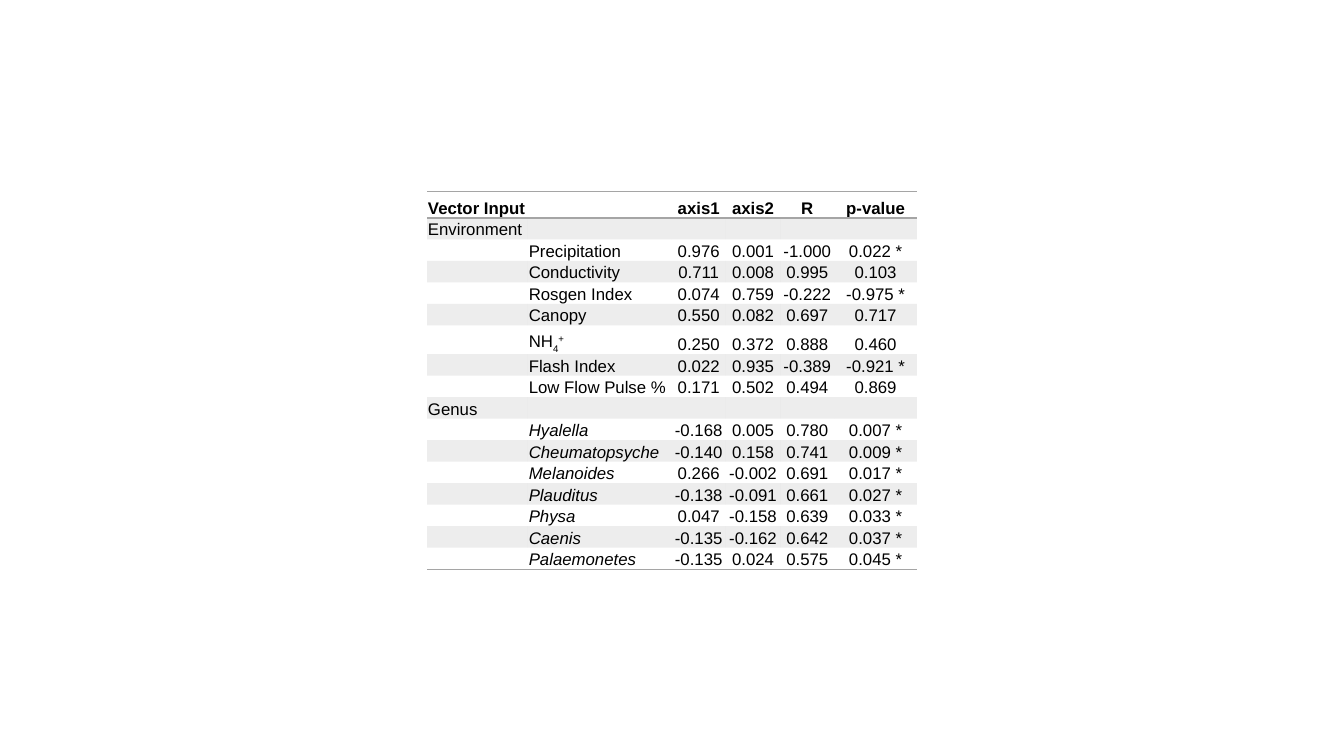
"""Build a slide with a table of vector inputs, axis scores and p-values."""
from lxml import etree
from pptx import Presentation
from pptx import util as u
from pptx.dml.color import RGBColor
from pptx.enum import text
from pptx.oxml.ns import qn

COLORS = {"ink": "000000", "gray": "A5A5A5"}
WIDTHS = [72, 102.7, 38.8, 38.8, 38.8, 58.8]
ROWS = [
    ["Vector Input", "", "axis1", "axis2", "R", "p-value"],
    ["Environment", "", "", "", "", ""],
    ["", "Precipitation", "0.976", "0.001", "-1.000", "0.022 *"],
    ["", "Conductivity", "0.711", "0.008", "0.995", "0.103"],
    ["", "Rosgen Index", "0.074", "0.759", "-0.222", "-0.975 *"],
    ["", "Canopy", "0.550", "0.082", "0.697", "0.717"],
    ["", "NH", "0.250", "0.372", "0.888", "0.460"],
    ["", "Flash Index", "0.022", "0.935", "-0.389", "-0.921 *"],
    ["", "Low Flow Pulse %", "0.171", "0.502", "0.494", "0.869"],
    ["Genus", "", "", "", "", ""],
    ["", "Hyalella", "-0.168", "0.005", "0.780", "0.007 *"],
    ["", "Cheumatopsyche", "-0.140", "0.158", "0.741", "0.009 *"],
    ["", "Melanoides", "0.266", "-0.002", "0.691", "0.017 *"],
    ["", "Plauditus", "-0.138", "-0.091", "0.661", "0.027 *"],
    ["", "Physa", "0.047", "-0.158", "0.639", "0.033 *"],
    ["", "Caenis", "-0.135", "-0.162", "0.642", "0.037 *"],
    ["", "Palaemonetes", "-0.135", "0.024", "0.575", "0.045 *"],
]
LAST = len(ROWS) - 1
ION = 6
GENUS = 9
HEIGHTS = {0: 18.9, ION: 20.4}
EDGES = {0: ["a:lnT", "a:lnB"], LAST: ["a:lnB"]}


def rule(cell, side):
    """Draw a thin gray line along one side of a cell."""
    line = etree.SubElement(cell._tc.get_or_add_tcPr(), qn(side), w="12700")
    fill = etree.SubElement(line, qn("a:solidFill"))
    etree.SubElement(fill, qn("a:srgbClr"), val=COLORS["gray"])


deck = Presentation()
deck.slide_width, deck.slide_height = u.Pt(960), u.Pt(540)
slide = deck.slides.add_slide(deck.slide_layouts[6])

frame = slide.shapes.add_table(len(ROWS), len(WIDTHS), u.Pt(305), u.Pt(136.8),
                               u.Pt(sum(WIDTHS)), u.Pt(263.25))
table = frame.table
table.first_row = table.horz_banding = False
style = table._tbl.tblPr.find(qn("a:tableStyleId"))
style.text = "{2D5ABB26-0587-4C30-8999-92F81FD0307C}"
for col, width in zip(table.columns, WIDTHS):
    col.width = u.Pt(width)

for r, row in enumerate(ROWS):
    table.rows[r].height = u.Pt(HEIGHTS.get(r, 14.93))
    for c, words in enumerate(row):
        cell = table.cell(r, c)
        cell.margin_left = cell.margin_right = cell.margin_top = u.Pt(0.72)
        cell.margin_bottom = 0
        cell.vertical_anchor = text.MSO_ANCHOR.BOTTOM
        for side in EDGES.get(r, []):
            rule(cell, side)
        if r % 2:
            cell.fill.solid()
            cell.fill.fore_color.rgb = RGBColor.from_string(COLORS["gray"])
            tint = cell._tc.tcPr.find(".//" + qn("a:srgbClr"))
            etree.SubElement(tint, qn("a:alpha"), val="20000")
        else:
            cell.fill.background()

        par = cell.text_frame.paragraphs[0]
        if c > 1:
            par.alignment = text.PP_ALIGN.CENTER
        if not words:
            etree.SubElement(par._p, qn("a:endParaRPr"), sz="1200")
            continue
        par.text = words
        if words == "NH":
            for mark, shift in [("4", "-25000"), ("+", "30000")]:
                run = par.add_run()
                run.text = mark
                run._r.get_or_add_rPr().set("baseline", shift)
        for run in par.runs:
            font = run.font
            font.name, font.size = "Arial", u.Pt(12)
            font.bold = r == 0
            font.italic = r > GENUS and c == 1
            font.color.rgb = RGBColor.from_string(COLORS["ink"])

table.cell(0, 0).merge(table.cell(0, 1))
deck.save("out.pptx")
